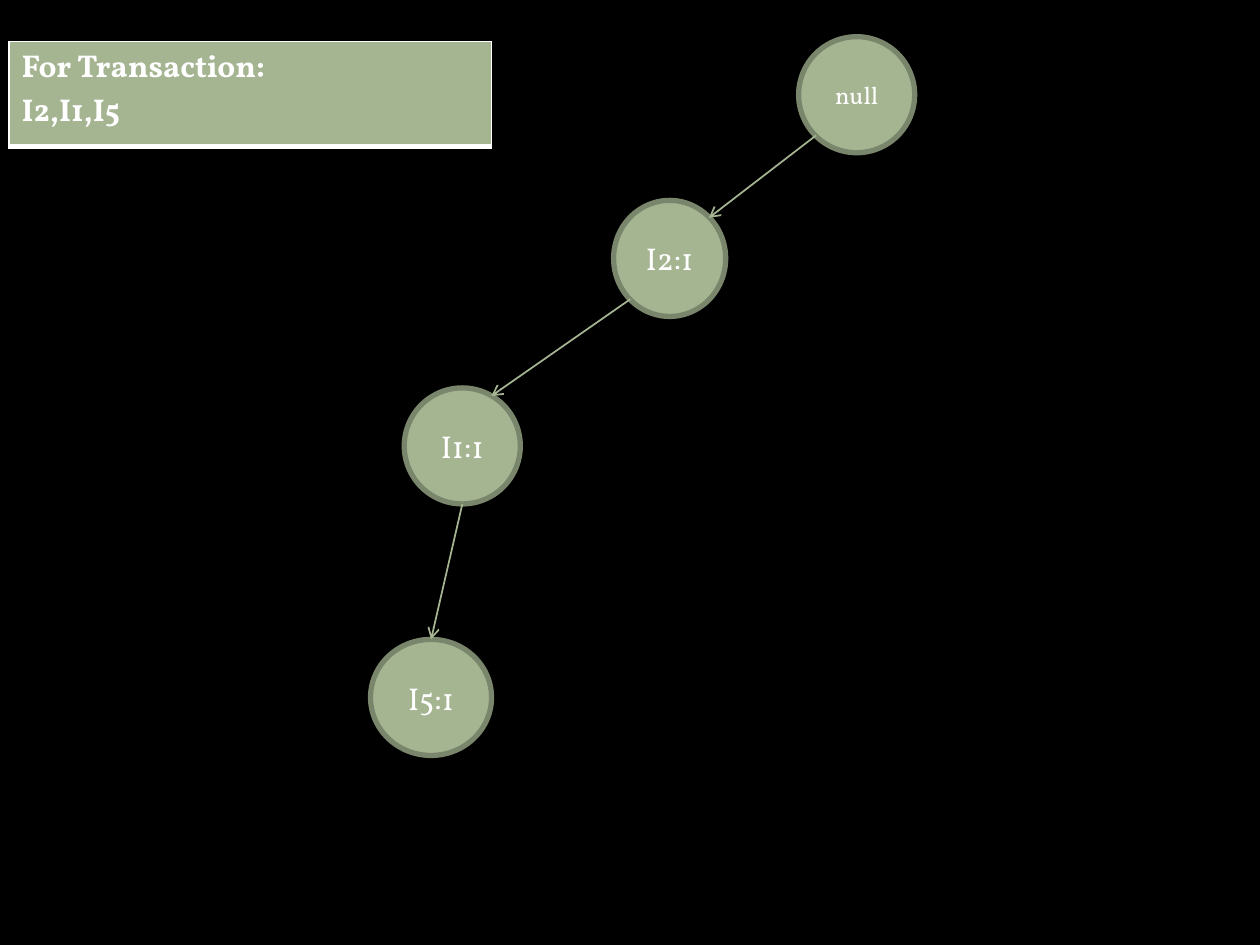
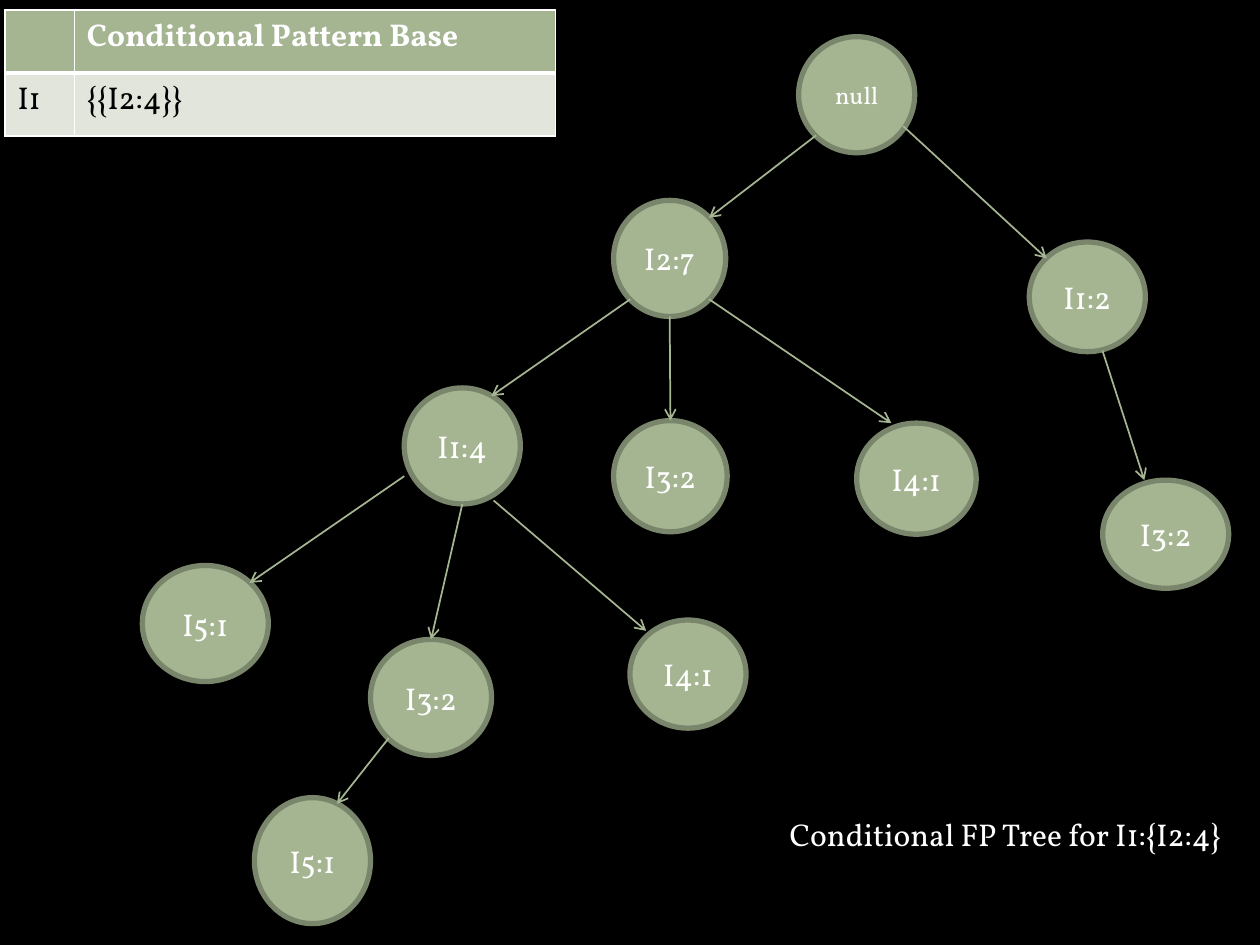
from lxml.etree import SubElement
from pptx import Presentation
from pptx.dml.color import RGBColor
from pptx.enum.shapes import MSO_CONNECTOR, MSO_SHAPE
from pptx.enum.text import MSO_ANCHOR, PP_ALIGN
from pptx.oxml.ns import qn
from pptx.util import Cm, Pt

COLORS = {
    "background": "000000",
    "sage": "A5B592",
    "outline": "7A866C",
    "pale": "E1E5DC",
    "light": "FFFFFF",
    "dark": "000000",
}
FONT = "Vollkorn"

PLACES = {
    "root": (16.1, 0.74, 2.34, 2.34),
    "second": (12.37, 4.04, 2.26, 2.34),
    "third": (8.15, 7.82, 2.34, 2.34),
    "fourth": (7.47, 12.89, 2.44, 2.34),
    "second middle": (12.37, 8.48, 2.29, 2.24),
    "second right": (17.27, 8.53, 2.41, 2.24),
    "third left": (2.87, 11.4, 2.54, 2.34),
    "third right": (12.7, 12.5, 2.34, 2.18),
    "fifth": (5.13, 16.08, 2.34, 2.54),
    "branch": (20.75, 4.88, 2.34, 2.21),
    "branch end": (22.23, 9.68, 2.54, 2.18),
}

TOP, BOTTOM = (0.5, 0), (0.5, 1)
TOP_LEFT, TOP_RIGHT = (0.15, 0.15), (0.85, 0.15)
BOTTOM_LEFT, BOTTOM_RIGHT = (0.15, 0.85), (0.85, 0.85)

ARROWS = [
    ("root", BOTTOM_LEFT, "second", TOP_RIGHT),
    ("second", BOTTOM_LEFT, "third", (0.75, 0.07)),
    ("third", BOTTOM, "fourth", TOP),
    ("second", BOTTOM, "second middle", TOP),
    ("second", BOTTOM_RIGHT, "second right", (0.29, 0)),
    ("third", (0, 0.76), "third left", TOP_RIGHT),
    ("third", (0.77, 0.97), "third right", (0.14, 0.1)),
    ("fourth", BOTTOM_LEFT, "fifth", (0.71, 0.05)),
    ("root", (0.9, 0.77), "branch", TOP_LEFT),
    ("branch", (0.63, 0.99), "branch end", (0.33, 0)),
]

PAGES = [
    {
        "nodes": {"root": "null", "second": "I2:1", "third": "I1:1", "fourth": "I5:1"},
        "table": {
            "at": (0.18, 0.84),
            "columns": [9.73],
            "row_height": 2.11,
            "rows": [["For Transaction:\nI2,I1,I5"]],
        },
    },
    {
        "nodes": {
            "root": "null",
            "second": "I2:7",
            "third": "I1:4",
            "fourth": "I3:2",
            "second middle": "I3:2",
            "second right": "I4:1",
            "third left": "I5:1",
            "third right": "I4:1",
            "fifth": "I5:1",
            "branch": "I1:2",
            "branch end": "I3:2",
        },
        "table": {
            "at": (0.1, 0.2),
            "columns": [1.4, 9.7],
            "row_height": 1.27,
            "rows": [["", "Conditional Pattern Base"], ["I1", "{{I2:4}}"]],
        },
        "caption": ("Conditional FP Tree for I1:{I2:4}", (15.67, 16.31, 9.7, 2.57)),
    },
]


def color(name):
    return RGBColor.from_string(COLORS[name])


def write(frame, text, size=18, ink="light", bold=False, align=PP_ALIGN.LEFT):
    frame.word_wrap = True
    for index, line in enumerate(text.split("\n")):
        para = frame.paragraphs[0] if index == 0 else frame.add_paragraph()
        para.alignment = align
        span = para.add_run()
        span.text = line
        span.font.name = FONT
        span.font.size = Pt(size)
        span.font.bold = bold
        span.font.color.rgb = color(ink)


def add_node(page, name, label):
    node = page.shapes.add_shape(MSO_SHAPE.OVAL, *map(Cm, PLACES[name]))
    node.shadow.inherit = False
    node.fill.solid()
    node.fill.fore_color.rgb = color("sage")
    node.line.color.rgb = color("outline")
    node.line.width = Pt(3)
    node.text_frame.vertical_anchor = MSO_ANCHOR.MIDDLE
    size = 14 if name == "root" else 18
    write(node.text_frame, label, size=size, align=PP_ALIGN.CENTER)


def point_on(name, anchor):
    left, top, width, height = PLACES[name]
    return Cm(left + anchor[0] * width), Cm(top + anchor[1] * height)


def add_arrow(page, start, end):
    arrow = page.shapes.add_connector(MSO_CONNECTOR.STRAIGHT, *start, *end)
    arrow.line.color.rgb = color("sage")
    arrow.line.width = Pt(1)
    SubElement(arrow.line._get_or_add_ln(), qn("a:tailEnd"), type="arrow")
    SubElement(arrow._element.spPr, qn("a:effectLst"))


def add_borders(cell, widths):
    properties = cell._tc.get_or_add_tcPr()
    for side, width in widths.items():
        border = SubElement(properties, qn(f"a:ln{side}"), w=str(Pt(width)))
        fill = SubElement(border, qn("a:solidFill"))
        SubElement(fill, qn("a:srgbClr"), val=COLORS["light"])


def add_grid(page, at, columns, row_height, rows):
    size = Cm(sum(columns)), Cm(row_height * len(rows))
    table = page.shapes.add_table(len(rows), len(columns), *map(Cm, at), *size).table
    for column, width in zip(table.columns, columns):
        column.width = Cm(width)
    for row_index, row in enumerate(rows):
        header = row_index == 0
        table.rows[row_index].height = Cm(row_height)
        for column_index, text in enumerate(row):
            cell = table.cell(row_index, column_index)
            add_borders(cell, {"L": 1, "R": 1, "T": 1 if header else 3, "B": 3 if header else 1})
            cell.fill.solid()
            cell.fill.fore_color.rgb = color("sage" if header else "pale")
            if text:
                write(cell.text_frame, text, ink="light" if header else "dark", bold=header)


def build_page(deck, content):
    page = deck.slides.add_slide(deck.slide_layouts[6])
    page.background.fill.solid()
    page.background.fill.fore_color.rgb = color("background")
    nodes = content["nodes"]
    for name, label in nodes.items():
        add_node(page, name, label)
    for parent, leaving, child, reaching in ARROWS:
        if parent in nodes and child in nodes:
            add_arrow(page, point_on(parent, leaving), point_on(child, reaching))
    add_grid(page, **content["table"])
    if "caption" in content:
        text, place = content["caption"]
        box = page.shapes.add_textbox(*map(Cm, place))
        write(box.text_frame, text)


def main():
    deck = Presentation()
    deck.slide_width, deck.slide_height = Cm(25.4), Cm(19.05)
    for content in PAGES:
        build_page(deck, content)
    deck.save("out.pptx")


if __name__ == "__main__":
    main()
